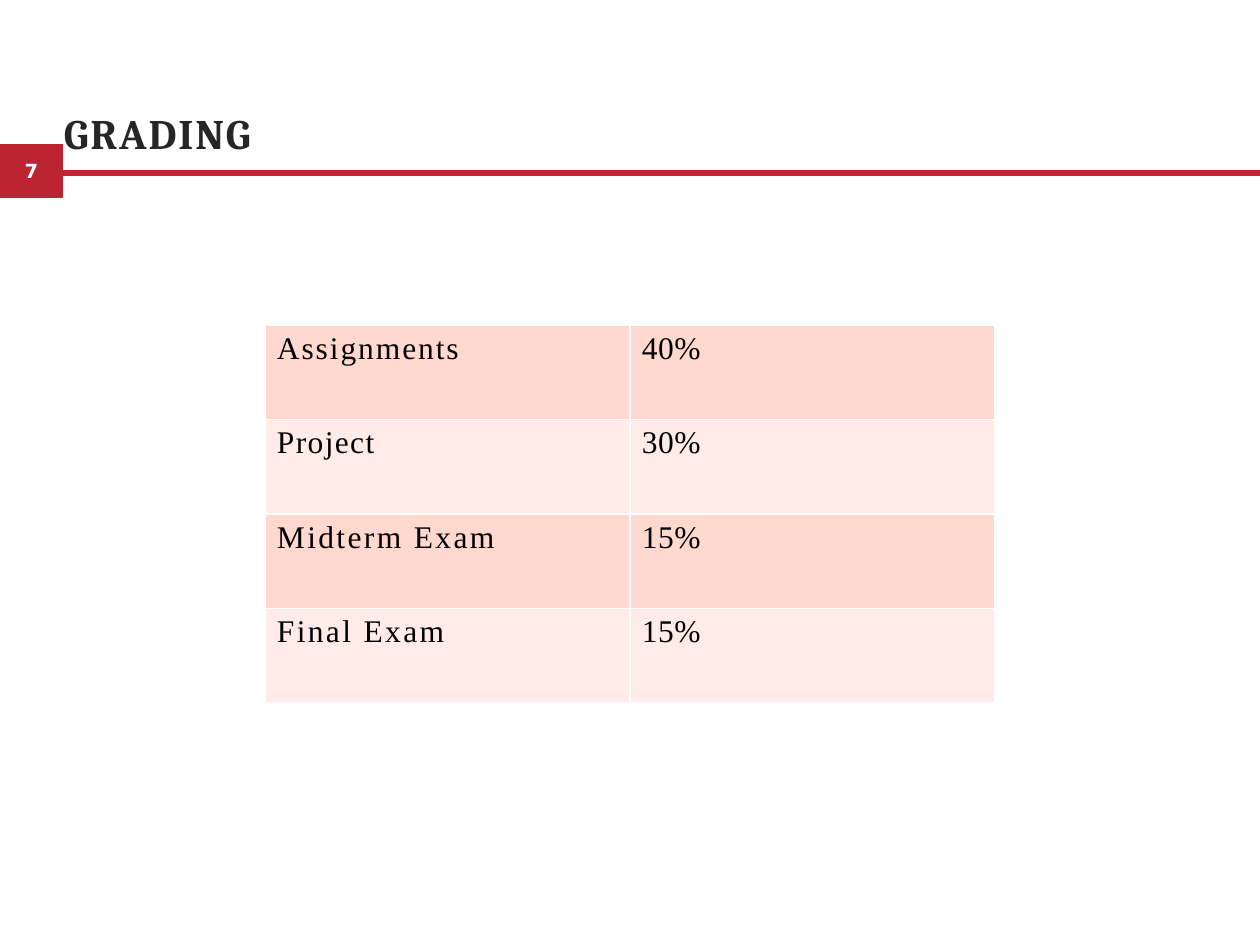
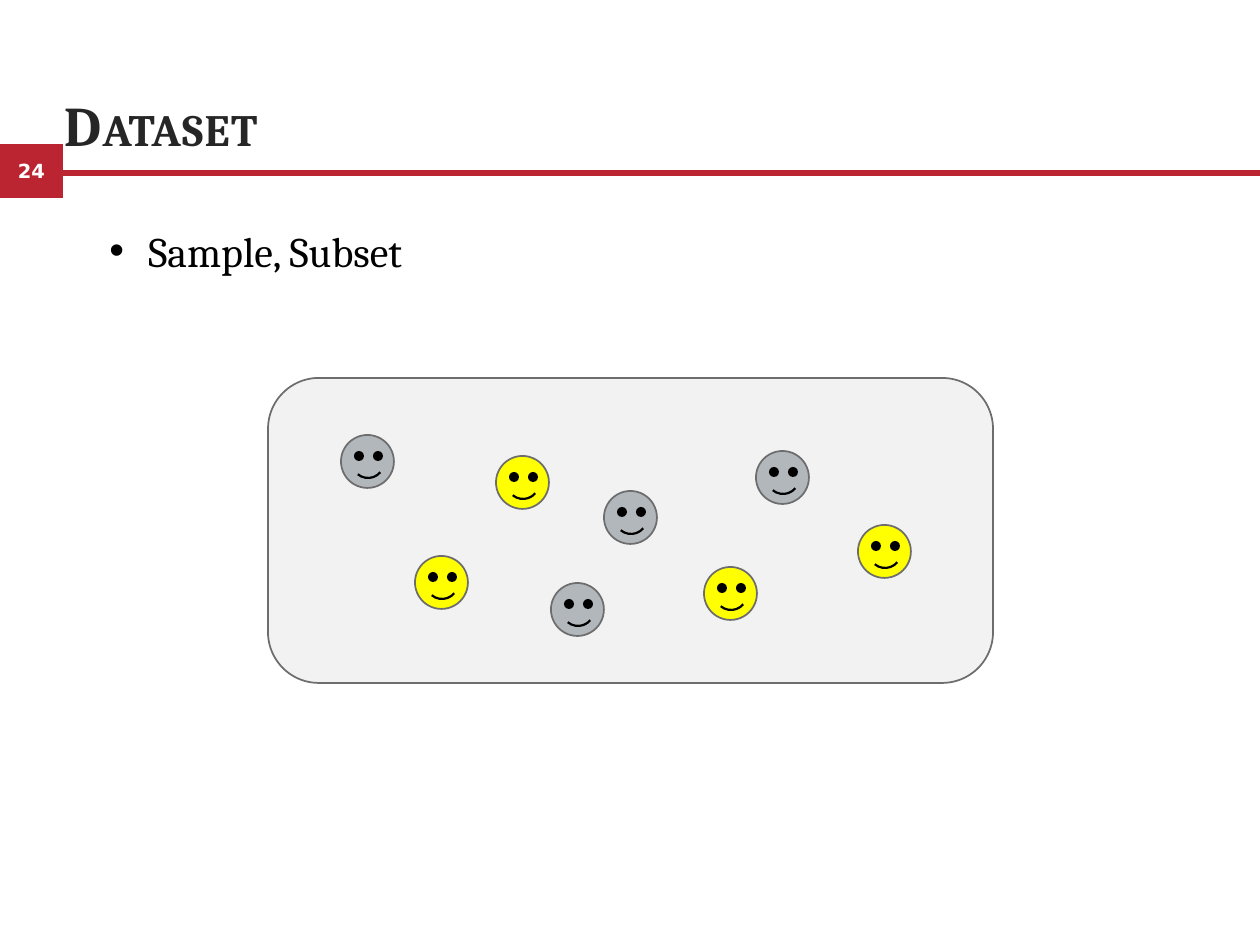
from dataclasses import dataclass

from lxml.etree import SubElement
from pptx import Presentation
from pptx.dml.color import RGBColor
from pptx.enum.shapes import MSO_SHAPE as Shape
from pptx.enum.text import MSO_ANCHOR as Anchor, PP_ALIGN as Align
from pptx.oxml.ns import qn
from pptx.util import Emu, Pt


@dataclass(frozen=True)
class Theme:
    red: str = "BB2532"
    white: str = "FFFFFF"
    black: str = "000000"
    heading: str = "262626"
    outline: str = "6D6D6D"
    panel: str = "F2F2F2"
    grey: str = "B2B7BB"
    yellow: str = "FFFF00"
    row_fills: tuple = ("FFD9CE", "FFECE8")
    serif: str = "Cambria"
    table_font: str = "Times New Roman"
    number_font: str = "DejaVu Sans"
    number_size: float = 11.1
    table_size: int = 18
    body_size: int = 24
    line: float = 1
    mouth_line: float = 1.25


THEME = Theme()
EMU_PER_PX = 914400 / 126
SLIDE_W, SLIDE_H = 1260, 945
MARGIN = 63
FACE, EYE, MOUTH = 53, 10, 32


def px(length):
    return Emu(round(length * EMU_PER_PX))


def rgb(code):
    return RGBColor.from_string(code)


def write(frame, text, *, size, font=THEME.serif, color=THEME.black, bold=False,
          align=Align.LEFT, spacing=0, small_caps=False, bullet_indent=0):
    """Fill a text frame with one formatted paragraph; spacing is in points."""
    paragraph = frame.paragraphs[0]
    paragraph.alignment = align
    if bullet_indent:
        properties = paragraph._p.get_or_add_pPr()
        properties.set("marL", str(px(bullet_indent)))
        properties.set("indent", str(-px(bullet_indent)))
        SubElement(properties, qn("a:buFont")).set("typeface", "Arial")
        SubElement(properties, qn("a:buChar")).set("char", "•")
    run = paragraph.add_run()
    run.text = text
    run.font.size, run.font.name, run.font.bold = Pt(size), font, bold
    run.font.color.rgb = rgb(color)
    properties = run._r.get_or_add_rPr()
    if spacing:
        properties.set("spc", str(round(spacing * 100)))
    if small_caps:
        properties.set("cap", "small")


def set_insets(target, left, top, right=0, bottom=0):
    target.margin_left, target.margin_top = px(left), px(top)
    target.margin_right, target.margin_bottom = px(right), px(bottom)


def add_borders(cell, color, width):
    properties = cell._tc.get_or_add_tcPr()
    for side in ("lnL", "lnR", "lnT", "lnB"):
        border = SubElement(properties, qn(f"a:{side}"), w=str(Pt(width)))
        fill = SubElement(border, qn("a:solidFill"))
        SubElement(fill, qn("a:srgbClr"), val=color)


class Deck:
    def __init__(self, theme):
        self.theme = theme
        self.presentation = Presentation()
        self.presentation.slide_width = px(SLIDE_W)
        self.presentation.slide_height = px(SLIDE_H)
        self.slide = None

    def new_slide(self, number, title, **title_format):
        """Start a slide with its number tab, red rule and title."""
        theme = self.theme
        self.slide = self.presentation.slides.add_slide(
            self.presentation.slide_layouts[6])
        tab = self.shape(Shape.RECTANGLE, 0, 144, MARGIN, 54, fill=theme.red)
        tab.text_frame.vertical_anchor = Anchor.MIDDLE
        write(tab.text_frame, str(number), size=theme.number_size,
              font=theme.number_font, color=theme.white, bold=True,
              align=Align.CENTER)
        self.shape(Shape.RECTANGLE, MARGIN, 170, SLIDE_W - MARGIN, 6,
                   fill=theme.red)
        heading = self.text_box(MARGIN, 48, SLIDE_W - 2 * MARGIN, 110)
        heading.vertical_anchor = Anchor.BOTTOM
        set_insets(heading, 1, 0)
        write(heading, title, color=theme.heading, bold=True, **title_format)

    def shape(self, kind, left, top, width, height, fill=None, line=None,
              line_width=THEME.line, group=None):
        parent = group or self.slide
        item = parent.shapes.add_shape(
            kind, px(left), px(top), px(width), px(height))
        item.shadow.inherit = False
        if fill:
            item.fill.solid()
            item.fill.fore_color.rgb = rgb(fill)
        else:
            item.fill.background()
        if line:
            item.line.color.rgb = rgb(line)
            item.line.width = Pt(line_width)
        else:
            item.line.fill.background()
        return item

    def text_box(self, left, top, width, height):
        frame = self.slide.shapes.add_textbox(
            px(left), px(top), px(width), px(height)).text_frame
        frame.word_wrap = True
        return frame

    def bullet(self, text, left, top, width, height):
        write(self.text_box(left, top, width, height), text,
              size=self.theme.body_size, bullet_indent=39)

    def table(self, rows, left, top, width, height):
        """Draw rows of (text, letter spacing) pairs with alternating fills."""
        theme = self.theme
        table = self.slide.shapes.add_table(
            len(rows), len(rows[0]), px(left), px(top), px(width), px(height)).table
        table.first_row = table.horz_banding = False
        for r, row in enumerate(rows):
            for c, (text, spacing) in enumerate(row):
                cell = table.cell(r, c)
                add_borders(cell, theme.white, theme.line)
                cell.fill.solid()
                cell.fill.fore_color.rgb = rgb(theme.row_fills[r % 2])
                set_insets(cell, 12, 6)
                write(cell.text_frame, text, size=theme.table_size,
                      font=theme.table_font, spacing=spacing)

    def face(self, left, top, color):
        theme = self.theme
        group = self.slide.shapes.add_group_shape()
        self.shape(Shape.OVAL, left, top, FACE, FACE, fill=color,
                   line=theme.outline, group=group)
        for eye_x in (13, 32):
            self.shape(Shape.OVAL, left + eye_x, top + 16, EYE, EYE,
                       fill=theme.black, group=group)
        mouth = self.shape(Shape.ARC, left + 11, top + 11, MOUTH, MOUTH,
                           line=theme.black, line_width=theme.mouth_line,
                           group=group)
        mouth.rotation = 129.9


def grading_slide(deck):
    deck.new_slide(7, "GRADING", size=24, spacing=1.1)
    weights = [
        ("Assignments", 1.1, "40%"),
        ("Project", 0.8, "30%"),
        ("Midterm Exam", 1.35, "15%"),
        ("Final Exam", 1.35, "15%"),
    ]
    rows = [((part, spacing), (weight, 0.3)) for part, spacing, weight in weights]
    deck.table(rows, 265, 325, 730, 378)


def dataset_slide(deck):
    theme = deck.theme
    deck.new_slide(24, "Dataset", size=32, spacing=0.8, small_caps=True)
    deck.shape(Shape.ROUNDED_RECTANGLE, 268, 378, 725, 305,
               fill=theme.panel, line=theme.outline)
    members = {
        theme.grey: [(341, 435), (551, 583), (604, 491), (756, 451)],
        theme.yellow: [(415, 556), (496, 456), (704, 567), (858, 525)],
    }
    for color, positions in members.items():
        for left, top in positions:
            deck.face(left, top, color)
    deck.bullet("Sample, Subset", 97, 219, 935, 102)


def main():
    deck = Deck(THEME)
    grading_slide(deck)
    dataset_slide(deck)
    deck.presentation.save("out.pptx")


if __name__ == "__main__":
    main()
